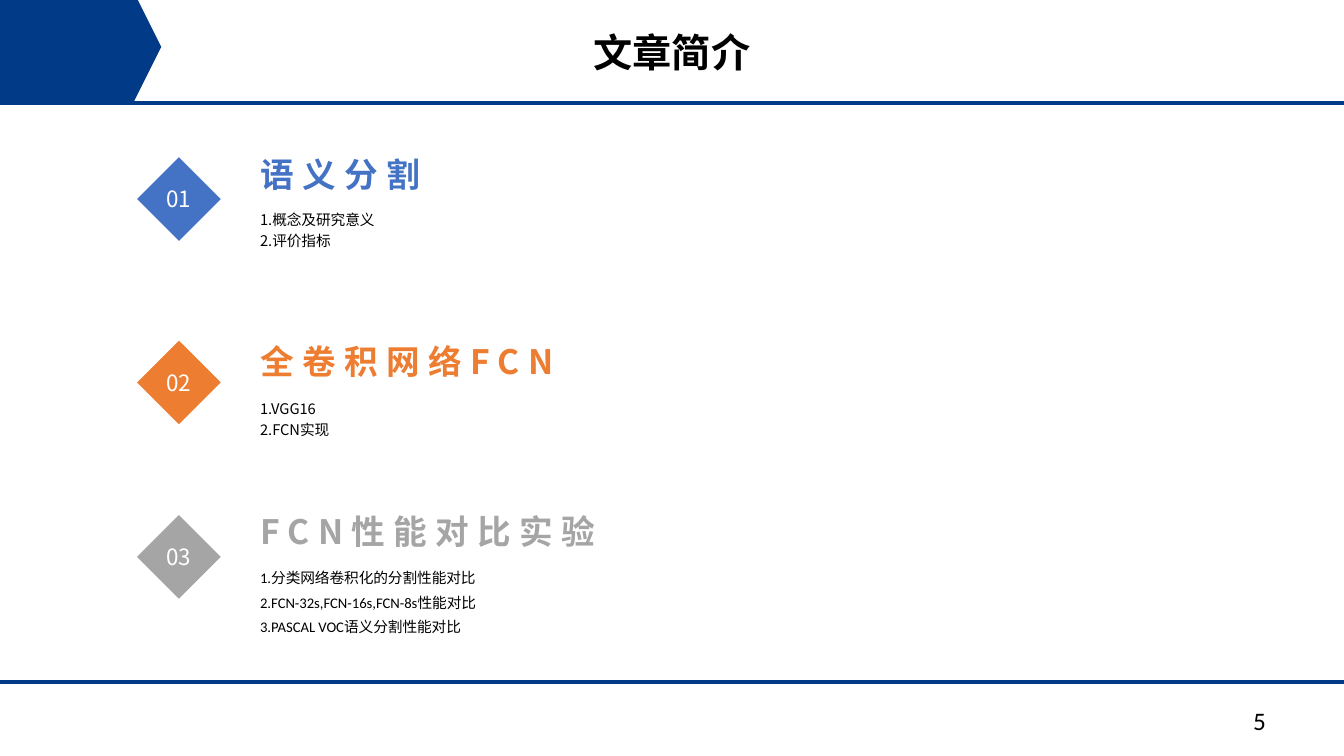
from dataclasses import dataclass

from lxml.etree import SubElement
from pptx import Presentation
from pptx.dml.color import RGBColor
from pptx.enum.shapes import MSO_CONNECTOR, MSO_SHAPE
from pptx.enum.text import MSO_ANCHOR, PP_ALIGN
from pptx.oxml.ns import qn
from pptx.util import Inches, Pt


@dataclass(frozen=True)
class Theme:
    navy: str = "013B87"
    black: str = "000000"
    white: str = "FFFFFF"
    blue: str = "4472C4"
    orange: str = "ED7D31"
    gray: str = "A5A5A5"
    sans: str = "Noto Sans CJK SC"
    latin: str = "Calibri"
    title_size: float = 28
    heading_size: float = 24
    page_number_size: float = 18
    badge_size: float = 16
    detail_size: float = 10.5
    rule_width: float = 3


@dataclass(frozen=True)
class Section:
    number: str
    heading: str
    details: tuple
    color: str
    badge_top: float
    heading_box: tuple  # top, height
    details_box: tuple  # top, height
    detail_font: str
    line_spacing: float


THEME = Theme()
SLIDE_WIDTH, SLIDE_HEIGHT = 13.33, 7.5
BADGE_LEFT, BADGE_SIZE = 1.36, 0.83
TEXT_WIDTH, TEXT_INDENT = 5.27, 0.39

SECTIONS = (
    Section("01", "语义分割", ("1.概念及研究意义", "2.评价指标"),
            THEME.blue, 1.56, (1.53, 0.4), (2.05, 0.43), THEME.sans, 1.2),
    Section("02", "全卷积网络FCN", ("1.VGG16", "2.FCN实现"),
            THEME.orange, 3.38, (3.38, 0.4), (3.93, 0.43), THEME.sans, 1.2),
    Section("03", "FCN性能对比实验",
            ("1.分类网络卷积化的分割性能对比",
             "2.FCN-32s,FCN-16s,FCN-8s性能对比",
             "3.PASCAL VOC语义分割性能对比"),
            THEME.gray, 5.11, (4.71, 0.76), (5.54, 0.8), THEME.latin, 1.4),
)


def write(frame, lines, size, color, font=THEME.sans, bold=False, tracking=0,
          align=PP_ALIGN.LEFT, line_spacing=None):
    """Fill a text frame, one paragraph per line; tracking is in points."""
    frame.text = "\n".join(lines)
    for para in frame.paragraphs:
        para.alignment = align
        para.line_spacing = line_spacing
        for span in para.runs:
            span.font.size = Pt(size)
            span.font.bold = bold
            span.font.name = font
            span.font.color.rgb = RGBColor.from_string(color)
            properties = span.font._element
            SubElement(properties, qn("a:ea")).set("typeface", THEME.sans)
            if tracking:
                properties.set("spc", str(tracking * 100))


def set_frame(frame, anchor, left_inset=0, wrap=True):
    frame.word_wrap = wrap
    frame.vertical_anchor = anchor
    frame.margin_left = Inches(left_inset)
    frame.margin_top = frame.margin_right = frame.margin_bottom = 0


def add_text(page, box):
    frame = page.shapes.add_textbox(*map(Inches, box)).text_frame
    frame.word_wrap = True
    return frame


def add_solid(page, kind, box, color):
    shape = page.shapes.add_shape(kind, *map(Inches, box))
    shape.shadow.inherit = False
    shape.fill.solid()
    shape.fill.fore_color.rgb = RGBColor.from_string(color)
    shape.line.fill.background()
    return shape


def add_rule(page, left, top, right):
    rule = page.shapes.add_connector(
        MSO_CONNECTOR.STRAIGHT, *map(Inches, (left, top, right, top)))
    rule.line.color.rgb = RGBColor.from_string(THEME.navy)
    rule.line.width = Pt(THEME.rule_width)
    SubElement(rule._element.spPr, qn("a:effectLst"))


def add_header(page, rule_top):
    add_rule(page, -0.17, rule_top, 13.37)
    add_solid(page, MSO_SHAPE.HEXAGON, (-0.5, rule_top - 1.11, 2.1, 1.11), THEME.navy)
    title = add_text(page, (5.79, rule_top - 0.79, 2, 0.57))
    write(title, ["文章简介"], THEME.title_size, THEME.black, bold=True)


def add_footer(page, rule_top):
    add_rule(page, -0.1, rule_top, 13.43)
    number = add_text(page, (SLIDE_WIDTH - 1, rule_top + 0.18, 1, 0.4))
    write(number, ["5"], THEME.page_number_size, THEME.black, THEME.latin)


def add_section(page, section, left):
    """Place a numbered diamond with its heading and details to the right."""
    badge = add_solid(page, MSO_SHAPE.DIAMOND,
                      (left, section.badge_top, BADGE_SIZE, BADGE_SIZE), section.color)
    set_frame(badge.text_frame, MSO_ANCHOR.MIDDLE, wrap=False)
    write(badge.text_frame, [section.number], THEME.badge_size, THEME.white,
          align=PP_ALIGN.CENTER)

    text_left = left + BADGE_SIZE
    top, height = section.heading_box
    heading = add_text(page, (text_left, top, TEXT_WIDTH, height))
    set_frame(heading, MSO_ANCHOR.BOTTOM, TEXT_INDENT, wrap=False)
    write(heading, [section.heading], THEME.heading_size, section.color,
          bold=True, tracking=6)

    top, height = section.details_box
    details = add_text(page, (text_left, top, TEXT_WIDTH, height))
    set_frame(details, MSO_ANCHOR.MIDDLE, TEXT_INDENT)
    write(details, section.details, THEME.detail_size, THEME.black,
          section.detail_font, line_spacing=section.line_spacing)


def main():
    deck = Presentation()
    deck.slide_width, deck.slide_height = Inches(SLIDE_WIDTH), Inches(SLIDE_HEIGHT)
    page = deck.slides.add_slide(deck.slide_layouts[6])
    add_header(page, 1.02)
    add_footer(page, 6.77)
    for section in SECTIONS:
        add_section(page, section, BADGE_LEFT)
    deck.save("out.pptx")


if __name__ == "__main__":
    main()
